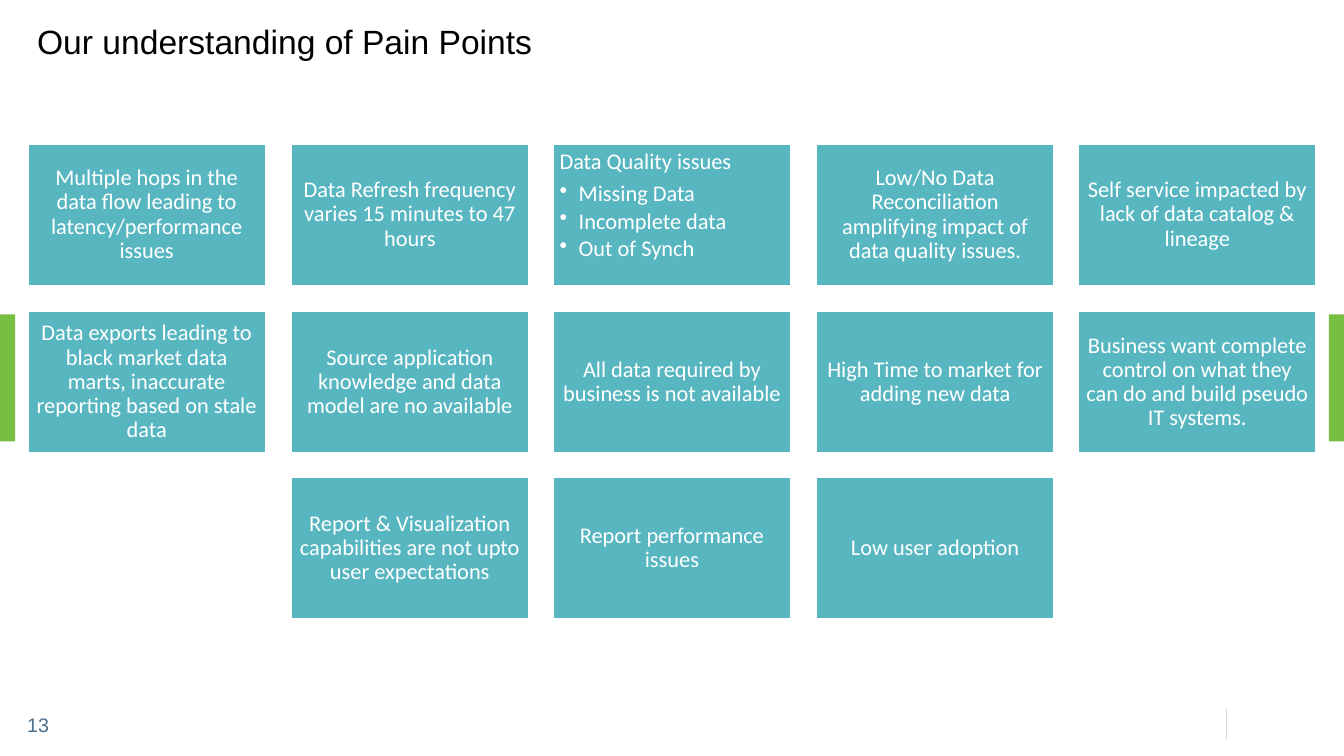
from pptx import Presentation
from pptx.dml.color import RGBColor as Color
from pptx.enum.shapes import MSO_CONNECTOR as Connector, MSO_SHAPE as Shape
from pptx.enum.text import MSO_ANCHOR as Anchor, PP_ALIGN as Align
from pptx.oxml.ns import qn
from pptx.util import Emu, Pt
from lxml.etree import SubElement

SCALE = 9144  # EMU per px, 100 px to the inch
SLIDE_WIDTH, SLIDE_HEIGHT = 1333, 750
COLORS = {"tile": "58B6C0", "accent": "77BF43", "rule": "D9D9D9",
          "title": "000000", "number": "4A7090", "white": "FFFFFF"}

# Grid of tiles
COLUMNS = 5
LEFT, TOP = 27, 142
TILE_WIDTH, TILE_HEIGHT = 237, 142
COLUMN_STEP, ROW_STEP = 260.5, 165.5
INSET, INDENT = 7, 19

QUALITY = "Data Quality issues"
QUALITY_ITEMS = ["Missing Data", "Incomplete data", "Out of Synch"]
PAIN_POINTS = [
    ["Multiple hops in the data flow leading to latency/performance issues",
     "Data Refresh frequency varies 15 minutes to 47 hours",
     QUALITY,
     "Low/No Data Reconciliation amplifying impact of data quality issues.",
     "Self service impacted by lack of data catalog & lineage"],
    ["Data exports leading to black market data marts, inaccurate reporting "
     "based on stale data",
     "Source application knowledge and data model are no available",
     "All data required by business is not available",
     "High Time to market for adding new data",
     "Business want complete control on what they can do and build pseudo "
     "IT systems."],
    ["Report & Visualization capabilities are not upto user expectations",
     "Report performance issues",
     "Low user adoption"],
]


def px(length):
    return Emu(length * SCALE)


def color(name):
    return Color.from_string(COLORS[name])


def set_frame(frame, anchor=Anchor.MIDDLE, inset=0, wrap=True):
    frame.word_wrap = wrap
    frame.vertical_anchor = anchor
    frame.margin_left = frame.margin_right = px(inset)
    frame.margin_top = frame.margin_bottom = px(inset)


def write(para, text, size=16, font="Calibri", ink="white", align=Align.LEFT,
          spacing=0.9, after=0, bullet=False):
    para.alignment = align
    para.line_spacing = spacing
    para.space_after = Pt(after)
    span = para.add_run()
    span.text = text
    span.font.size = Pt(size)
    span.font.name = font
    span.font.color.rgb = color(ink)
    if bullet:
        para.level = 1
        properties = para._p.get_or_add_pPr()
        properties.set("marL", str(px(INDENT)))
        properties.set("indent", str(-px(INDENT)))
        SubElement(properties, qn("a:buChar"), char="•")


def add_box(page, left, top, width, height, fill):
    box = page.shapes.add_shape(Shape.RECTANGLE, px(left), px(top),
                                px(width), px(height))
    box.shadow.inherit = False
    box.fill.solid()
    box.fill.fore_color.rgb = color(fill)
    box.line.fill.background()
    return box


def add_label(page, left, top, width, height, text, inset=0, wrap=True, **style):
    box = page.shapes.add_textbox(px(left), px(top), px(width), px(height))
    set_frame(box.text_frame, inset=inset, wrap=wrap)
    write(box.text_frame.paragraphs[0], text, **style)


def add_tile(page, left, top, text, items=()):
    box = add_box(page, left, top, TILE_WIDTH, TILE_HEIGHT, "tile")
    box.line.color.rgb = color("white")
    box.line.width = Pt(2)
    frame = box.text_frame
    set_frame(frame, Anchor.TOP if items else Anchor.MIDDLE, INSET)
    write(frame.paragraphs[0], text, after=5.6,
          align=Align.LEFT if items else Align.CENTER)
    for item in items:
        write(frame.add_paragraph(), item, after=2.4, bullet=True)


def add_rule(page, x, top, bottom):
    rule = page.shapes.add_connector(Connector.STRAIGHT, px(x), px(top),
                                     px(x), px(bottom))
    rule.line.color.rgb = color("rule")
    rule.line.width = Pt(0.75)
    SubElement(rule._element.spPr, qn("a:effectLst"))


def main():
    deck = Presentation()
    deck.slide_width, deck.slide_height = px(SLIDE_WIDTH), px(SLIDE_HEIGHT)
    page = deck.slides.add_slide(deck.slide_layouts[6])

    # Edge accents and footer rule
    for left in (0, SLIDE_WIDTH - 15):
        add_box(page, left, 312, 15, 126, "accent")
    add_rule(page, 1216, 703, 734)

    # Title and page number
    add_label(page, 27, 20, 1280, 46, "Our understanding of Pain Points",
              inset=10, size=24, font="Arial", ink="title")
    add_label(page, 27, 707, 24, 24, "13", wrap=False, size=14, font="Arial",
              ink="number", spacing=1.0, after=6)

    # Pain points, each row centred on the grid
    for row, texts in enumerate(PAIN_POINTS):
        first = (COLUMNS - len(texts)) // 2
        for column, text in enumerate(texts, first):
            add_tile(page, LEFT + int(column * COLUMN_STEP + 0.5),
                     TOP + int(row * ROW_STEP + 0.5), text,
                     QUALITY_ITEMS if text == QUALITY else ())

    deck.save("out.pptx")


if __name__ == "__main__":
    main()
